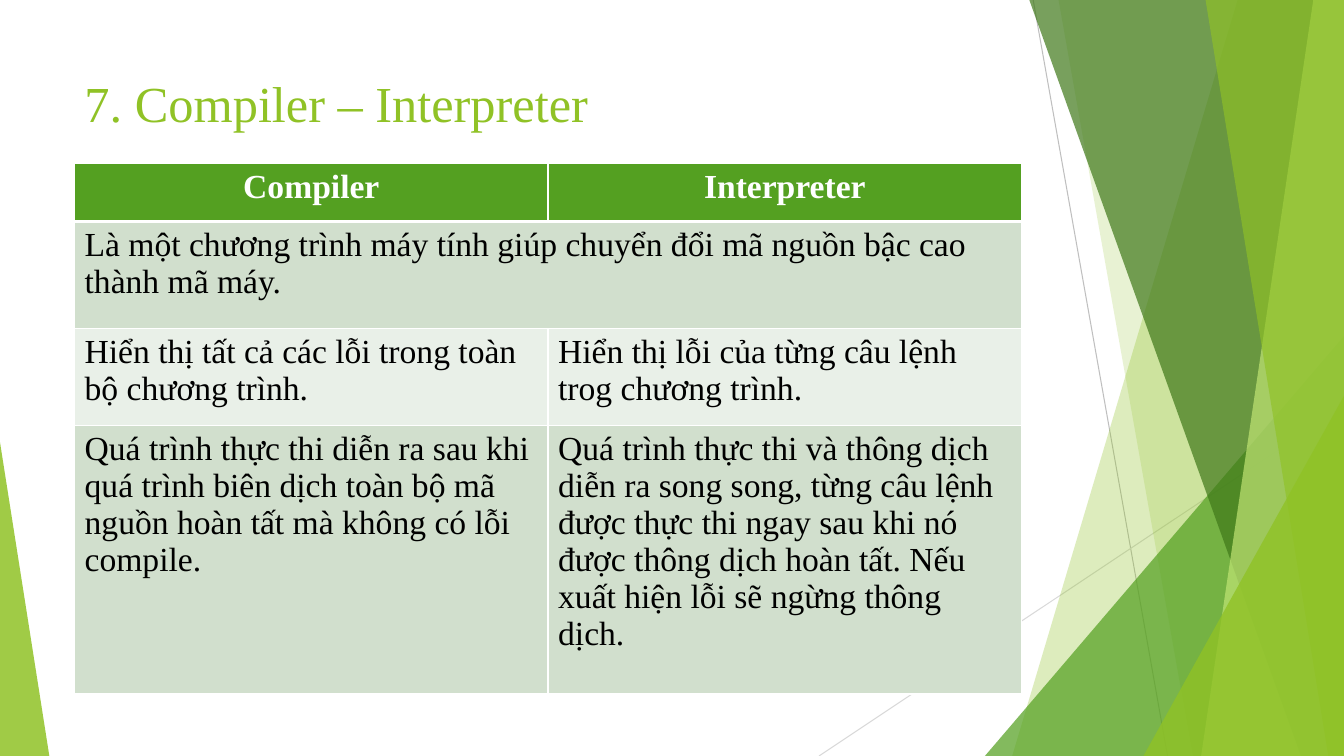
import pptx
import pptx.util
import pptx.dml.color
import pptx.enum.shapes
import pptx.enum.text
import pptx.oxml
import pptx.oxml.ns

WIDTH, HEIGHT = 1280, 720
COLORS = {
    "lime": "90C226", "green": "54A021", "forest": "3F7819", "pale": "C0E474",
    "gray": "BFBFBF", "silver": "D9D9D9", "white": "FFFFFF", "black": "000000",
    "band": "D1DFCD", "light band": "E9F0E8",
}


def px(length):
    return pptx.util.Emu(length * 9525)


def rgb(color):
    return pptx.dml.color.RGBColor.from_string(COLORS[color])


def add_element(parent, tag, **attributes):
    element = pptx.oxml.parse_xml(f"<{tag} {pptx.oxml.ns.nsdecls('a')}/>")
    for key, value in attributes.items():
        element.set(key, str(value))
    parent.append(element)
    return element


class SlideBuilder:
    font = "Times New Roman"

    def __init__(self, presentation):
        self.slide = presentation.slides.add_slide(presentation.slide_layouts[6])
        self.shapes = self.slide.shapes

    def line(self, start, end, color):
        connector = self.shapes.add_connector(
            pptx.enum.shapes.MSO_CONNECTOR.STRAIGHT, *map(px, start + end))
        connector.line.color.rgb = rgb(color)
        connector.line.width = pptx.util.Pt(0.75)
        add_element(connector.line._get_or_add_ln().getparent(), "a:effectLst")

    def paint(self, shape, color, opacity):
        shape.shadow.inherit = False
        shape.fill.solid()
        shape.fill.fore_color.rgb = rgb(color)
        shape.line.fill.background()
        color_element = shape.fill._xPr.find(".//" + pptx.oxml.ns.qn("a:srgbClr"))
        add_element(color_element, "a:alpha", val=opacity * 1000)

    def facet(self, top_left, bottom_left, color, opacity):
        outline = self.shapes.build_freeform(px(top_left), px(-1))
        outline.add_line_segments(
            [(px(WIDTH), px(-1)), (px(WIDTH), px(HEIGHT)), (px(bottom_left), px(HEIGHT))])
        self.paint(outline.convert_to_shape(), color, opacity)

    def triangle(self, left, top, width, apex, color, opacity):
        shape = self.shapes.add_shape(
            pptx.enum.shapes.MSO_SHAPE.ISOSCELES_TRIANGLE,
            *map(px, (left, top, width, HEIGHT - top)))
        shape.adjustments[0] = apex
        self.paint(shape, color, opacity)

    def run(self, paragraph, text, size, color, bold=False):
        run = paragraph.add_run()
        run.text = text
        run.font.name = self.font
        run.font.size = pptx.util.Pt(size)
        run.font.bold = bold
        run.font.color.rgb = rgb(color)

    def title(self, box, text):
        frame = self.shapes.add_textbox(*map(px, box)).text_frame
        frame.word_wrap = True
        frame.vertical_anchor = pptx.enum.text.MSO_ANCHOR.TOP
        self.run(frame.paragraphs[0], text, 36, "lime")

    def border(self, cell, side, width):
        edge = add_element(cell._tc.get_or_add_tcPr(), f"a:{side}", w=pptx.util.Pt(width))
        add_element(add_element(edge, "a:solidFill"), "a:srgbClr", val=COLORS["white"])

    def cell(self, cell, text, is_header, fill):
        for side in ("lnL", "lnR", "lnT", "lnB"):
            self.border(cell, side, 3 if is_header and side == "lnB" else 1)
        cell.fill.solid()
        cell.fill.fore_color.rgb = rgb(fill)
        paragraph = cell.text_frame.paragraphs[0]
        if is_header:
            paragraph.alignment = pptx.enum.text.PP_ALIGN.CENTER
        if text:
            self.run(paragraph, text, 24, "white" if is_header else "black", is_header)

    def table(self, left, top, column_width, row_heights, rows):
        columns = len(rows[0])
        table = self.shapes.add_table(
            len(rows), columns, px(left), px(top),
            px(column_width * columns), px(sum(row_heights))).table
        for column in table.columns:
            column.width = px(column_width)
        for index, (height, texts) in enumerate(zip(row_heights, rows)):
            table.rows[index].height = px(height)
            fill = "green" if index == 0 else "band" if index % 2 else "light band"
            if len(texts) < columns:
                table.cell(index, 0).merge(table.cell(index, columns - 1))
            for column in range(columns):
                text = texts[column] if column < len(texts) else ""
                self.cell(table.cell(index, column), text, index == 0, fill)


def main():
    presentation = pptx.Presentation()
    presentation.slide_width, presentation.slide_height = px(WIDTH), px(HEIGHT)
    builder = SlideBuilder(presentation)

    builder.line((984, 0), (1112, HEIGHT), "gray")
    builder.line((WIDTH, 387), (780, HEIGHT), "silver")
    builder.facet(1179, 964, "lime", 30)
    builder.facet(1008, 1136, "lime", 20)
    builder.triangle(938, 320, 342, 1, "green", 72)
    builder.facet(980, 1239, "forest", 70)
    builder.facet(1251, 1144, "pale", 70)
    builder.facet(1148, 1265, "lime", 65)
    builder.triangle(1089, 377, 191, 1, "lime", 80)
    builder.triangle(0, 421, 47, 0, "lime", 85)

    builder.title((71, 64, 902, 91), "7. Compiler – Interpreter")
    builder.table(71, 156, 451, (55, 102, 92, 256), [
        ("Compiler", "Interpreter"),
        ("Là một chương trình máy tính giúp chuyển đổi mã nguồn bậc cao thành mã máy.",),
        ("Hiển thị tất cả các lỗi trong toàn bộ chương trình.",
         "Hiển thị lỗi của từng câu lệnh trog chương trình."),
        ("Quá trình thực thi diễn ra sau khi quá trình biên dịch toàn bộ mã nguồn "
         "hoàn tất mà không có lỗi compile.",
         "Quá trình thực thi và thông dịch diễn ra song song, từng câu lệnh được thực thi "
         "ngay sau khi nó được thông dịch hoàn tất. Nếu xuất hiện lỗi sẽ ngừng thông dịch."),
    ])
    presentation.save("out.pptx")


if __name__ == "__main__":
    main()
